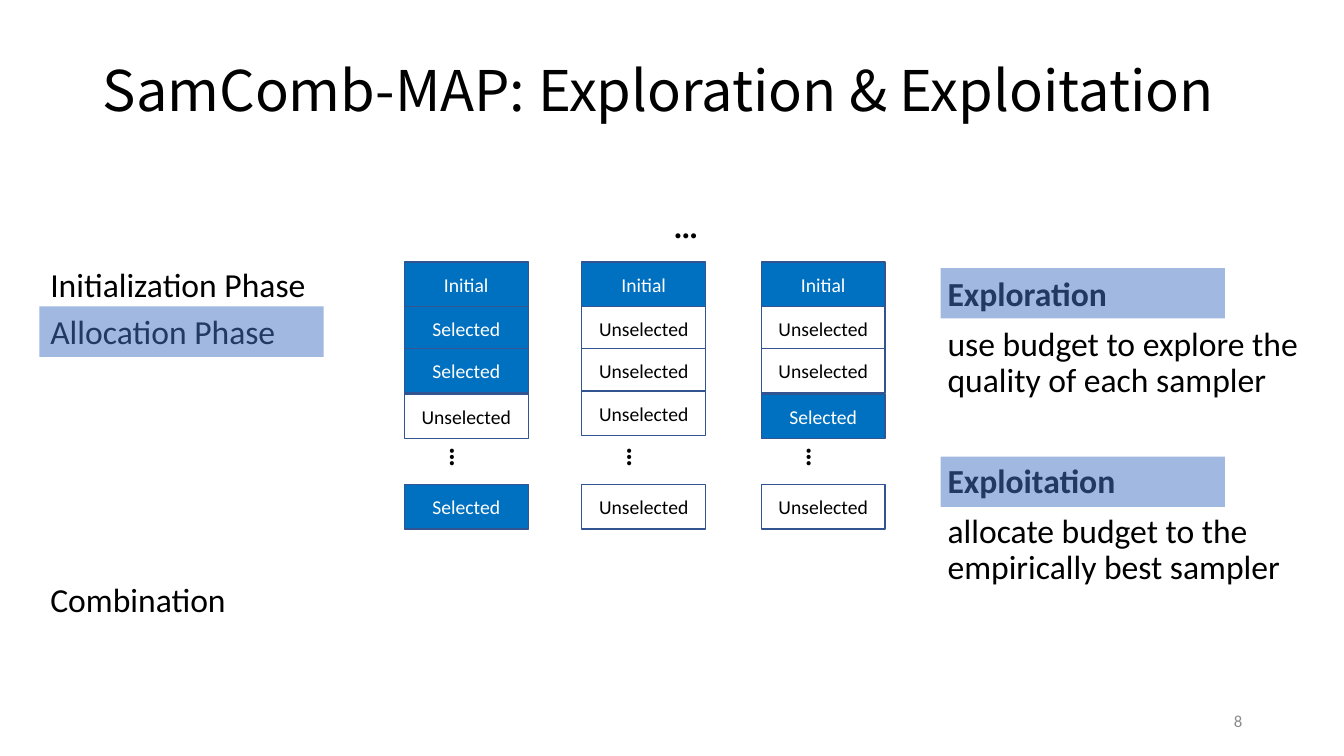
from lxml.etree import SubElement
from pptx import Presentation
from pptx.dml.color import RGBColor
from pptx.enum.shapes import MSO_SHAPE as Shape
from pptx.enum.text import MSO_ANCHOR as Anchor, PP_ALIGN as Align
from pptx.oxml.ns import qn
from pptx.util import Emu, Pt

PX = 9144  # 100 px to the inch
BLUE, WHITE, BLACK = "0070C0", "FFFFFF", "000000"
OUTLINE, HIGHLIGHT, GREY = "325491", "4472C4", "8C8C8C"


def color(value):
    return RGBColor.from_string(value)


def px(*lengths):
    return [Emu(length * PX) for length in lengths]


class SlideBuilder:
    font = {"name": "Calibri", "size": 24, "bold": False, "color": BLACK}

    def __init__(self, presentation):
        self.slide = presentation.slides.add_slide(presentation.slide_layouts[6])

    def fill_paragraph(self, paragraph, text, align=Align.LEFT, spacing=None,
                       before=0, **font):
        values = {**self.font, **font}
        paragraph.text = text
        for name, value in {"alignment": align, "line_spacing": spacing,
                            "space_before": Pt(before)}.items():
            setattr(paragraph, name, value)
        run_font = paragraph.runs[0].font
        run_font.color.rgb = color(values.pop("color"))
        values["size"] = Pt(values["size"])
        for name, value in values.items():
            setattr(run_font, name, value)

    def text(self, box, paragraphs, anchor=Anchor.TOP, rotation=0):
        shape = self.slide.shapes.add_textbox(*px(*box))
        shape.rotation = rotation
        frame = shape.text_frame
        frame.word_wrap = True
        frame.vertical_anchor = anchor
        for index, values in enumerate(paragraphs):
            paragraph = frame.add_paragraph() if index else frame.paragraphs[0]
            self.fill_paragraph(paragraph, **values)

    def rectangle(self, box, fill):
        shape = self.slide.shapes.add_shape(Shape.RECTANGLE, *px(*box))
        shape.shadow.inherit = False
        shape.fill.solid()
        shape.fill.fore_color.rgb = color(fill)
        return shape

    def cell(self, box, label):
        unselected = label == "Unselected"
        shape = self.rectangle(box, WHITE if unselected else BLUE)
        shape.line.color.rgb = color(OUTLINE)
        shape.line.width = Pt(1)
        frame = shape.text_frame
        frame.word_wrap = True
        frame.vertical_anchor = Anchor.MIDDLE
        self.fill_paragraph(frame.paragraphs[0], label, Align.CENTER, size=14,
                            color=BLACK if unselected else WHITE)

    def highlight(self, left, top):
        shape = self.rectangle((left, top, 282, 50), HIGHLIGHT)
        shape.line.fill.background()
        fill_color = shape.element.spPr.find(qn("a:solidFill"))[0]
        SubElement(fill_color, qn("a:alpha"), val="50000")


def main():
    presentation = Presentation()
    presentation.slide_width, presentation.slide_height = px(1333, 750)
    builder = SlideBuilder(presentation)

    # Title and slide number
    builder.text((92, 34, 1202, 118), [
        {"text": "SamComb-MAP: Exploration & Exploitation", "size": 40,
         "name": "Noto Sans CJK SC", "spacing": 0.9}], Anchor.MIDDLE)
    builder.text((942, 695, 300, 40), [
        {"text": "8", "size": 12, "color": GREY, "align": Align.RIGHT}], Anchor.MIDDLE)

    # Phases
    for top, phase in ((257, "Initialization Phase"), (304, "Allocation Phase"),
                       (569, "Combination")):
        builder.text((40, top, 282, 50), [{"text": phase}])

    # Sampler columns: left edge, top of the fourth cell, labels
    ellipsis = {"text": "…", "size": 20, "bold": True}
    builder.text((659, 204, 68, 44), [{**ellipsis, "name": "League Spartan"}])
    samplers = (
        (401, 391, ("Initial", "Selected", "Selected", "Unselected", "Selected")),
        (577, 388, ("Initial",) + ("Unselected",) * 4),
        (755, 391, ("Initial", "Unselected", "Unselected", "Selected", "Unselected")),
    )
    for left, fourth_top, labels in samplers:
        for top, label in zip((260, 304, 346, fourth_top, 481), labels):
            builder.cell((left, top, 123, 44), label)
        builder.text((left + 28, 440, 56, 44), [ellipsis], rotation=90)

    # Exploration and exploitation
    strategies = (
        ("Exploration", "use budget to explore the quality of each sampler", 0),
        ("Exploitation", "allocate budget to the empirically best sampler", 46),
    )
    paragraphs = []
    for heading, explanation, before in strategies:
        paragraphs += [
            {"text": heading, "bold": True, "spacing": 0.9, "before": before},
            {"text": explanation, "spacing": 0.9, "before": 10}]
    builder.text((930, 270, 386, 334), paragraphs)

    # Translucent highlights
    for left, top in ((39, 304), (933, 266), (933, 453)):
        builder.highlight(left, top)

    presentation.save("out.pptx")


if __name__ == "__main__":
    main()
